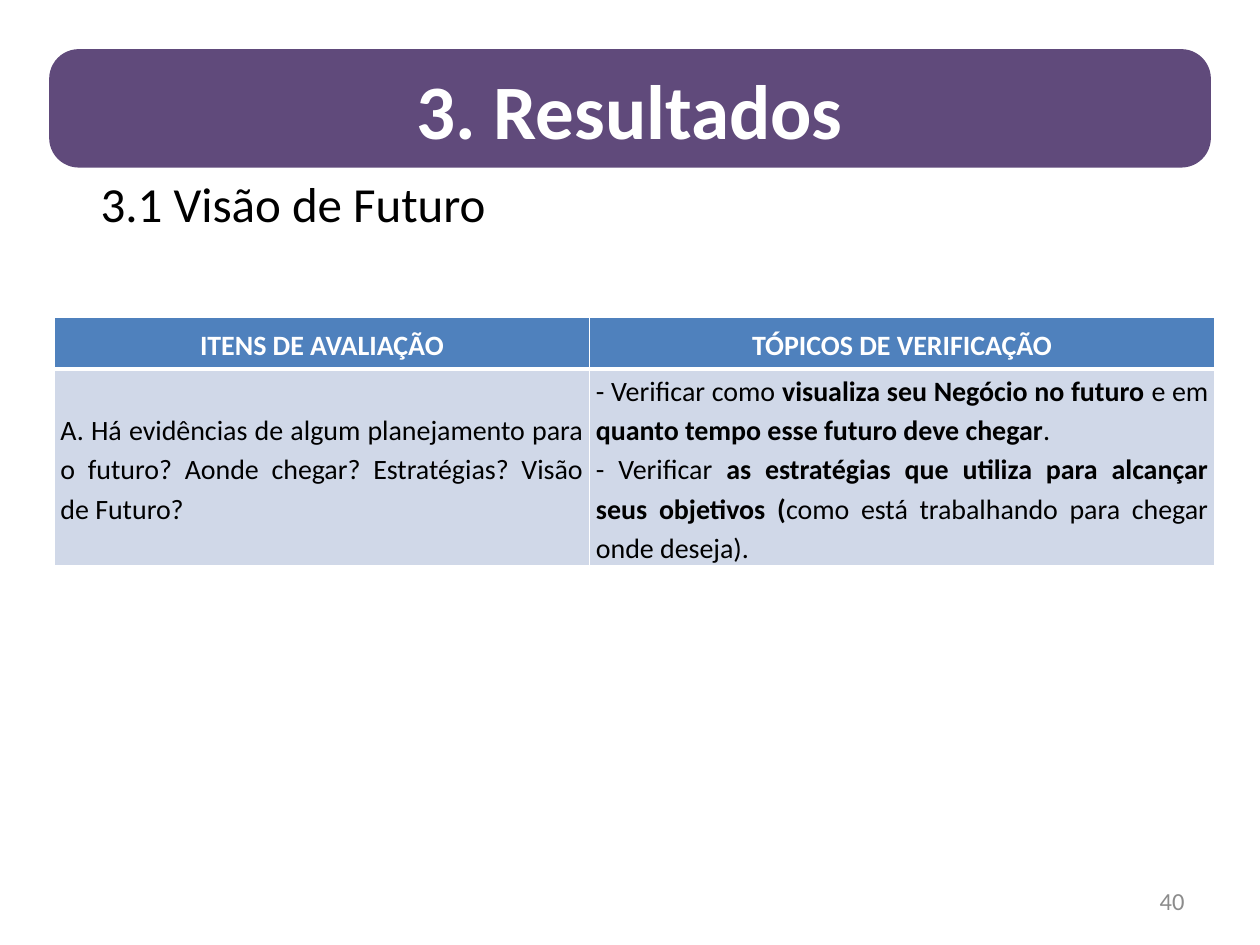
from lxml import etree
from pptx import Presentation
from pptx.dml.color import RGBColor
from pptx.enum import shapes, text
from pptx.oxml import ns
from pptx.util import Inches, Pt

FONT = "Calibri"
COLORS = {
    "banner": "604A7B",
    "header": "4F81BD",
    "body": "D0D8E8",
    "white": "FFFFFF",
    "black": "000000",
    "number": "8C8C8C",
}
ALIGN = text.PP_ALIGN
MIDDLE = text.MSO_ANCHOR.MIDDLE

HEADINGS = ["ITENS DE AVALIAÇÃO", "TÓPICOS DE VERIFICAÇÃO"]
# Each cell is a list of paragraphs, each paragraph a list of (words, bold)
ITEM = [[("A. Há evidências de algum planejamento para o futuro? Aonde chegar? "
          "Estratégias? Visão de Futuro?", False)]]
TOPICS = [
    [("- Verificar como ", False),
     ("visualiza seu Negócio no futuro ", True),
     ("e em ", False),
     ("quanto tempo esse futuro deve chegar", True),
     (".", False)],
    [("- Verificar ", False),
     ("as estratégias que utiliza para alcançar seus objetivos (", True),
     ("como está trabalhando para chegar onde deseja).", False)],
]


def color(name):
    return RGBColor.from_string(COLORS[name])


def style(para, size, color_name, align, bold=None):
    para.alignment = align
    font = para.font
    font.name, font.size, font.bold = FONT, Pt(size), bold
    font.color.rgb = color(color_name)


def add_text(page, words, place, size, color_name, align, anchor):
    box = page.shapes.add_textbox(*map(Inches, place))
    frame = box.text_frame
    frame.word_wrap = True
    frame.vertical_anchor = anchor
    frame.text = words
    style(frame.paragraphs[0], size, color_name, align)


def add_banner(page, words):
    banner = page.shapes.add_shape(
        shapes.MSO_SHAPE.ROUNDED_RECTANGLE,
        Inches(0.39), Inches(0.39), Inches(9.22), Inches(0.94))
    banner.adjustments[0] = 0.25
    banner.shadow.inherit = False
    banner.fill.solid()
    banner.fill.fore_color.rgb = color("banner")
    banner.line.fill.background()
    frame = banner.text_frame
    frame.vertical_anchor = MIDDLE
    frame.text = words
    style(frame.paragraphs[0], 44, "white", ALIGN.CENTER, True)


def set_borders(cell, top, bottom):
    props = cell._tc.get_or_add_tcPr()
    for side, width in (("L", 1), ("R", 1), ("T", top), ("B", bottom)):
        line = etree.SubElement(props, ns.qn(f"a:ln{side}"), w=str(Pt(width)))
        fill = etree.SubElement(line, ns.qn("a:solidFill"))
        etree.SubElement(fill, ns.qn("a:srgbClr"), val=COLORS["white"])


def fill_cell(cell, paragraphs, fill, color_name, align, top, bottom):
    set_borders(cell, top, bottom)
    cell.fill.solid()
    cell.fill.fore_color.rgb = color(fill)
    cell.vertical_anchor = MIDDLE
    cell.margin_left = cell.margin_right = Inches(0.05)
    cell.margin_top = cell.margin_bottom = 0
    frame = cell.text_frame
    for index, spans in enumerate(paragraphs):
        para = frame.add_paragraph() if index else frame.paragraphs[0]
        style(para, 16, color_name, align)
        para.line_spacing = 1.15
        for words, bold in spans:
            span = para.add_run()
            span.text = words
            span.font.bold = bold


def add_criteria_table(page):
    table = page.shapes.add_table(
        2, 2, Inches(0.43), Inches(2.52), Inches(9.21), Inches(1.94)).table
    for column, width in zip(table.columns, (4.25, 4.96)):
        column.width = Inches(width)
    for row, height in zip(table.rows, (0.41, 1.53)):
        row.height = Inches(height)
    for index, (heading, body) in enumerate(zip(HEADINGS, (ITEM, TOPICS))):
        fill_cell(table.cell(0, index), [[(heading, True)]],
                  "header", "white", ALIGN.CENTER, 1, 3)
        fill_cell(table.cell(1, index), body,
                  "body", "black", ALIGN.JUSTIFY, 3, 1)


def main():
    deck = Presentation()
    deck.slide_width, deck.slide_height = Inches(10), Inches(7.5)
    page = deck.slides.add_slide(deck.slide_layouts[6])

    # Evaluation criteria
    add_criteria_table(page)

    # Section heading and banner
    add_text(page, "3.1 Visão de Futuro", (0.7, 1.33, 8.66, 1.07),
             28, "black", ALIGN.LEFT, text.MSO_ANCHOR.TOP)
    add_banner(page, "3. Resultados")

    # Page number
    add_text(page, "40", (7.17, 6.95, 2.33, 0.4),
             14, "number", ALIGN.RIGHT, MIDDLE)

    deck.save("out.pptx")


if __name__ == "__main__":
    main()
